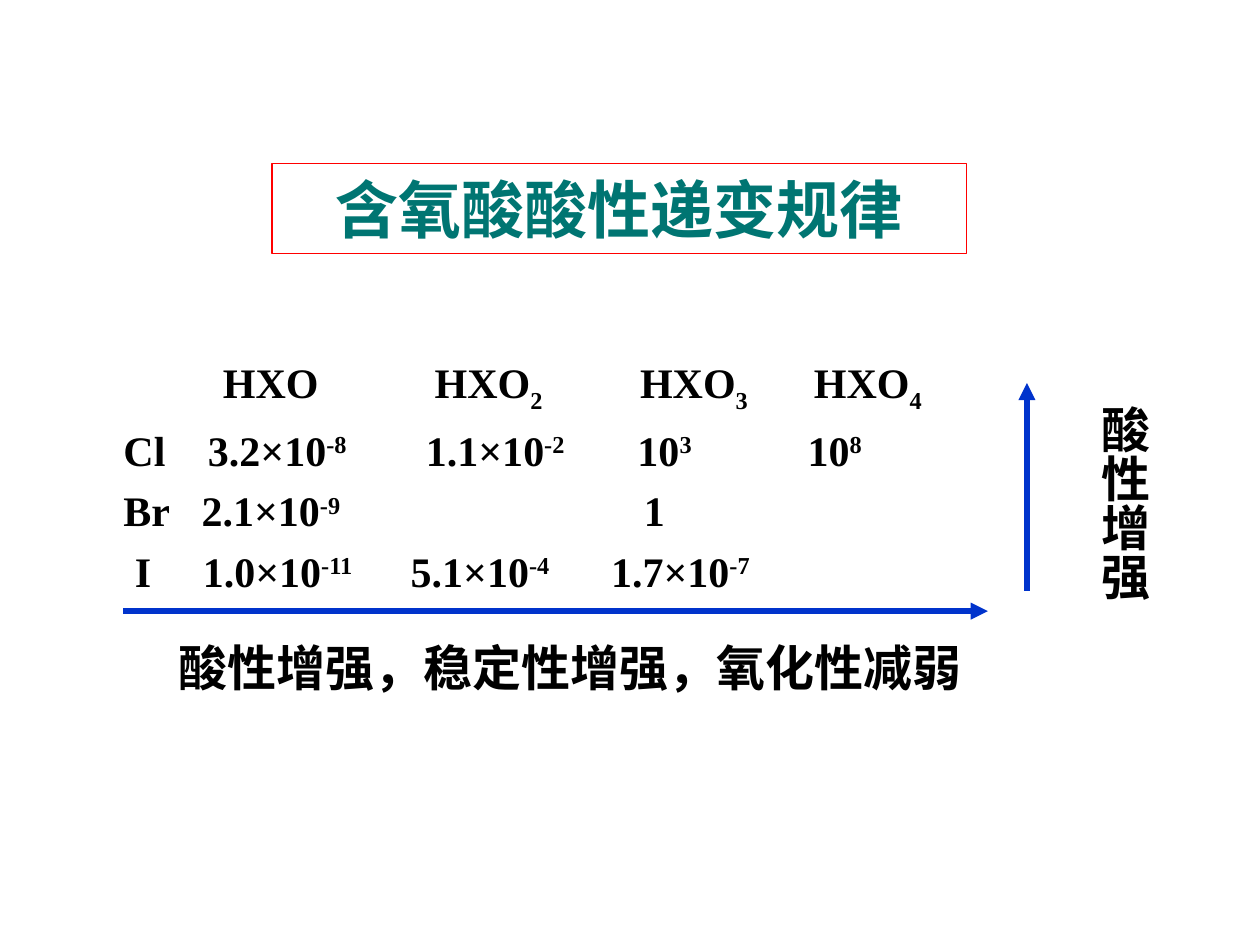
from pptx import Presentation
from pptx.dml.color import RGBColor
from pptx.enum.shapes import MSO_CONNECTOR, MSO_SHAPE
from pptx.enum.text import MSO_ANCHOR, PP_ALIGN
from pptx.oxml.ns import qn
from pptx.util import Inches, Pt
from lxml import etree

TEAL = RGBColor(0x00, 0x75, 0x72)
RED = RGBColor(0xFF, 0x00, 0x00)
BLUE = RGBColor(0x00, 0x33, 0xCC)
BLACK = RGBColor(0x00, 0x00, 0x00)
FONT = "Times New Roman"
SUBSCRIPT, SUPERSCRIPT = "-25000", "30000"

# Each row: script position, then cells of (tab stop in inches, text, script)
ROWS = [
    (SUBSCRIPT, [(0.79, "HXO", ""), (2.47, "HXO", "2"),
                 (4.1, "HXO", "3"), (5.48, "HXO", "4")]),
    (SUPERSCRIPT, [(0, "Cl", ""), (0.67, "3.2×10", "-8"), (2.4, "1.1×10", "-2"),
                   (4.08, "10", "3"), (5.43, "10", "8")]),
    (SUPERSCRIPT, [(0, "Br", ""), (0.62, "2.1×10", "-9"), (4.13, "1", "")]),
    (SUPERSCRIPT, [(0.09, "I", ""), (0.63, "1.0×10", "-11"),
                   (2.28, "5.1×10", "-4"), (3.87, "1.7×10", "-7")]),
]


def style(font, size, color=BLACK):
    font.name, font.size, font.bold = FONT, Pt(size), True
    font.color.rgb = color


def add_title(page, left, top, width, height):
    box = page.shapes.add_shape(MSO_SHAPE.RECTANGLE, left, top, width, height)
    box.shadow.inherit = False
    box.fill.background()
    box.line.color.rgb = RED
    box.line.width = Pt(0.75)
    frame = box.text_frame
    frame.text = "含氧酸酸性递变规律"
    frame.vertical_anchor = MSO_ANCHOR.MIDDLE
    para = frame.paragraphs[0]
    para.alignment = PP_ALIGN.CENTER
    style(para.runs[0].font, 36, TEAL)


def add_tab_stops(para, stops):
    tabs = etree.SubElement(para._p.get_or_add_pPr(), qn("a:tabLst"))
    for stop in stops:
        etree.SubElement(tabs, qn("a:tab"), pos=str(Inches(stop)), algn="l")


def add_span(para, text, baseline=None):
    span = para.add_run()
    span.text = text
    style(span.font, 24)
    if baseline:
        span.font._element.set("baseline", baseline)


def add_constants(page, left, top, width, height):
    """Acidity constants by halogen and oxoacid, aligned on tab stops."""
    frame = page.shapes.add_textbox(left, top, width, height).text_frame
    frame.word_wrap = True
    frame.margin_left = Inches(0.47)
    frame.margin_top = Inches(0.17)
    for index, (baseline, cells) in enumerate(ROWS):
        para = frame.paragraphs[0] if index == 0 else frame.add_paragraph()
        para.line_spacing = 1.2
        add_tab_stops(para, [stop for stop, _, _ in cells if stop])
        for stop, text, script in cells:
            add_span(para, "\t" + text if stop else text)
            if script:
                add_span(para, script, baseline)


def add_arrow(page, start_x, start_y, end_x, end_y):
    arrow = page.shapes.add_connector(
        MSO_CONNECTOR.STRAIGHT, start_x, start_y, end_x, end_y)
    arrow.line.color.rgb = BLUE
    arrow.line.width = Pt(3.25)
    etree.SubElement(arrow.line._get_or_add_ln(), qn("a:tailEnd"), type="triangle")
    etree.SubElement(arrow._element.spPr, qn("a:effectLst"))


def add_trend(page, text, left, top, width, height, vertical=False):
    frame = page.shapes.add_textbox(left, top, width, height).text_frame
    frame.text = text
    frame.word_wrap = vertical
    if vertical:
        frame._txBody.bodyPr.set("vert", "eaVert")
        frame.margin_left = frame.margin_right = Inches(0.05)
        frame.margin_top = frame.margin_bottom = Inches(0.1)
    style(frame.paragraphs[0].runs[0].font, 28)


def main():
    deck = Presentation()
    deck.slide_width, deck.slide_height = Inches(10), Inches(7.5)
    page = deck.slides.add_slide(deck.slide_layouts[6])
    add_title(page, Inches(2.16), Inches(1.3), Inches(5.51), Inches(0.71))
    add_constants(page, Inches(0.51), Inches(2.57), Inches(9), Inches(2.31))
    add_arrow(page, Inches(8.15), Inches(4.69), Inches(8.15), Inches(3.04))
    add_arrow(page, Inches(0.98), Inches(4.85), Inches(7.84), Inches(4.85))
    add_trend(page, "酸性增强，稳定性增强，氧化性减弱",
              Inches(1.32), Inches(5.01), Inches(6.41), Inches(0.57))
    add_trend(page, "酸性增强", Inches(8.55), Inches(3.12),
              Inches(0.66), Inches(2.05), vertical=True)
    deck.save("out.pptx")


if __name__ == "__main__":
    main()
